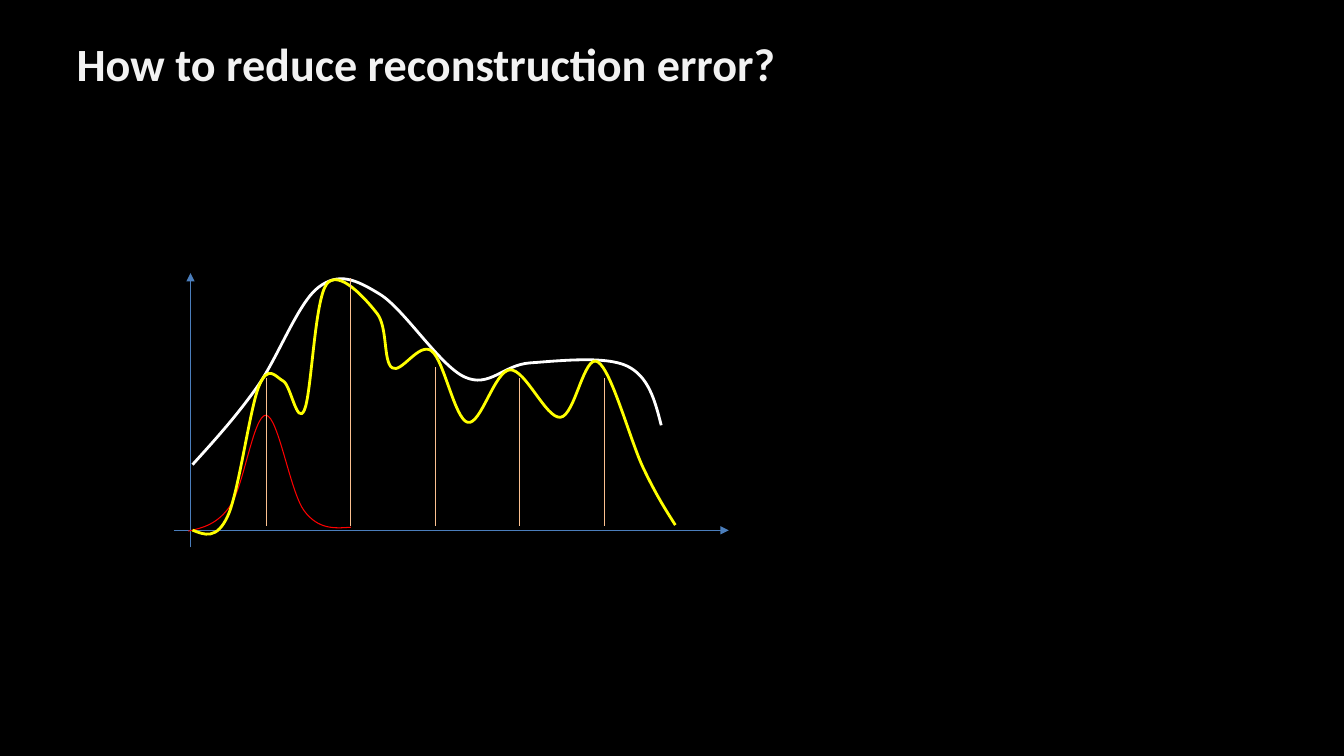
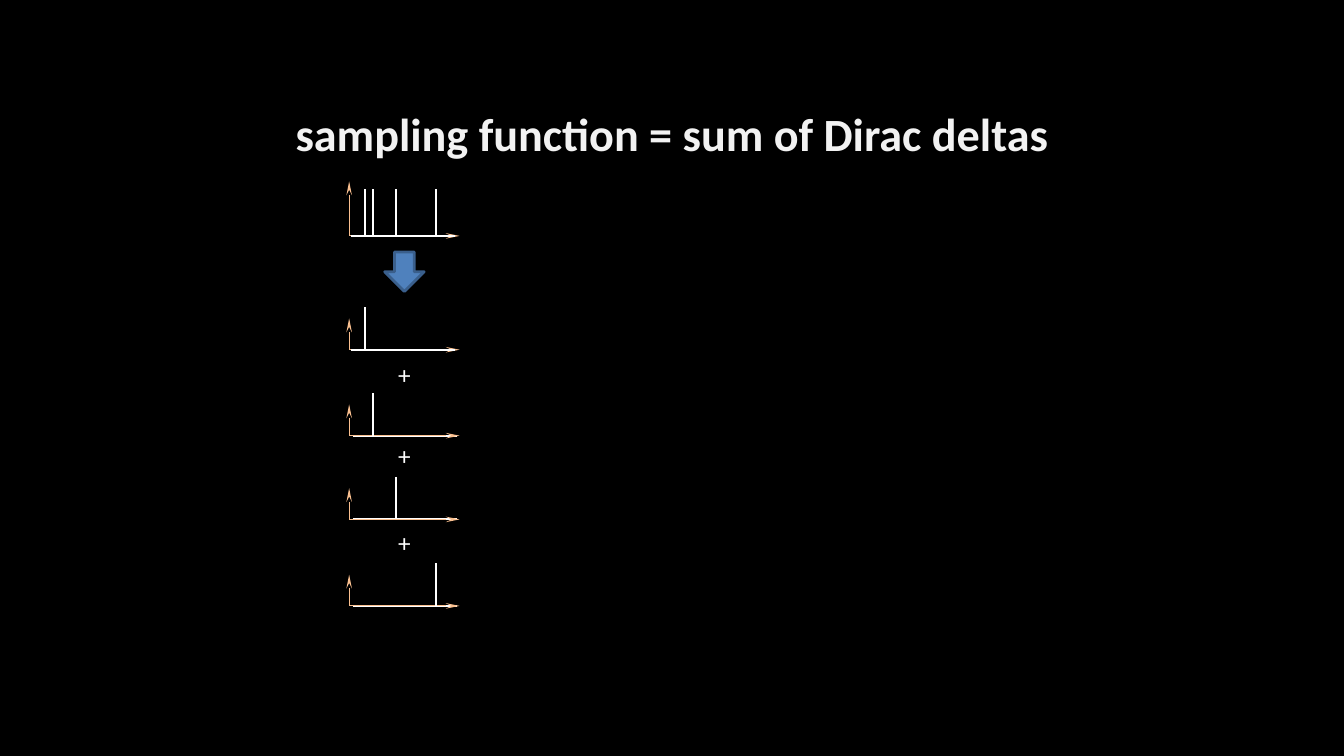
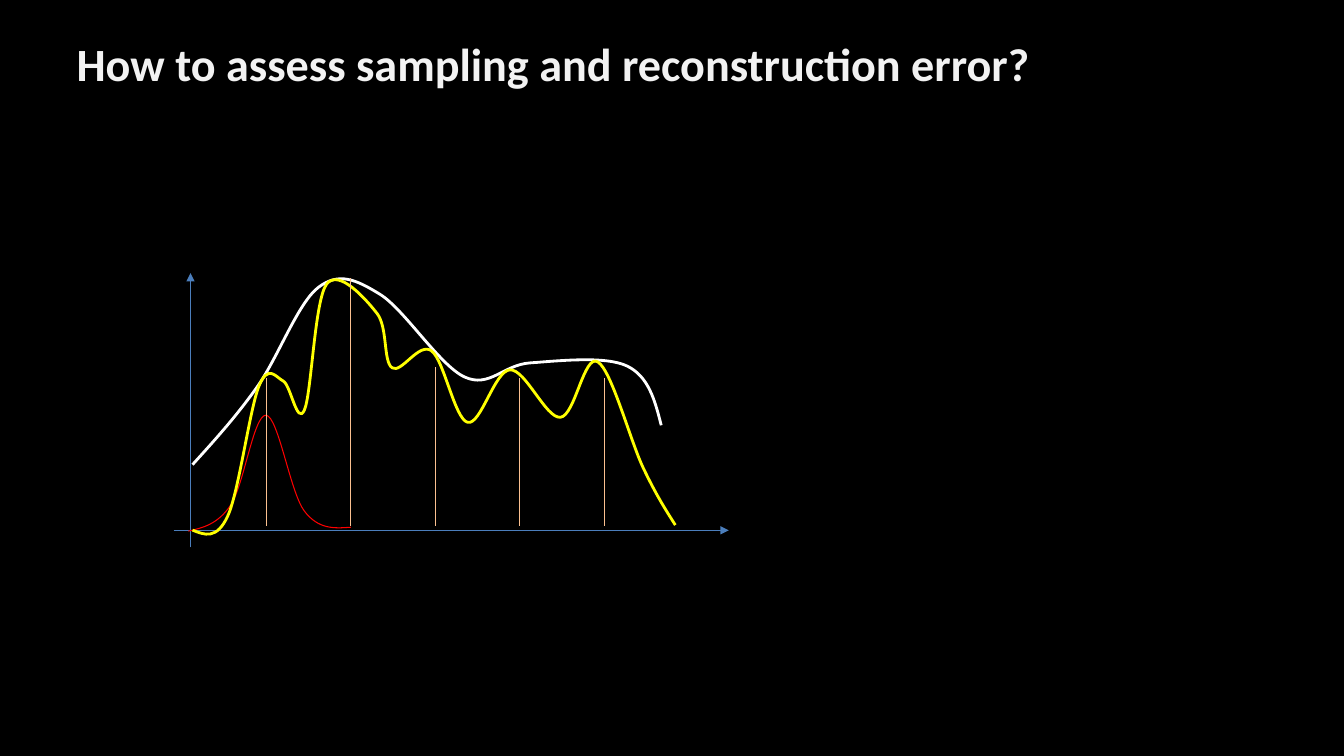
import dataclasses
import typing

import lxml.etree
import pptx
import pptx.dml.color
import pptx.enum.shapes
import pptx.enum.text
import pptx.oxml.ns
import pptx.util

Pt = pptx.util.Pt
qn = pptx.oxml.ns.qn
Align = pptx.enum.text.PP_ALIGN
Point = tuple[float, float]
Bezier = tuple[Point, Point, Point, Point]

COLORS = {
    "background": "000000",
    "title": "F2F2F2",
    "white": "FFFFFF",
    "axis": "4B7EBC",
    "sample": "FAC090",
    "kernel": "FF0000",
    "reconstruction": "FFFF00",
    "arrow": "4F81BD",
    "arrow_edge": "3A5F8C",
}
FONT = "Calibri"
TITLE_ONLY = 5
BOUND_STEPS = 20


@dataclasses.dataclass(frozen=True)
class Stroke:
    color: str
    width: float
    head: str = ""
    head_width: str = "med"
    head_length: str = "med"


@dataclasses.dataclass(frozen=True)
class Curve:
    knots: tuple[Point, ...]
    stroke: Stroke


@dataclasses.dataclass(frozen=True)
class SpikePlot:
    baseline: float
    axis_height: float
    spike_height: float
    spikes: tuple[float, ...]
    train_left: float = 252
    train_on_top: bool = False


AXIS = Stroke("axis", 0.75, "triangle")
SAMPLE = Stroke("sample", 0.75)
SPIKE_AXIS = Stroke("sample", 0.75, "stealth", "sm", "lg")
SPIKE = Stroke("white", 1.5)

# Signal, reconstruction kernel and reconstructed signal
CURVES = (
    Curve(((137.5, 331.9), (183.6, 276.5), (227.5, 205.2), (271.4, 210.2),
           (331.9, 269.3), (378.7, 259.2), (447.8, 261.4), (472.3, 303.8)),
          Stroke("white", 2)),
    Curve(((134.6, 379.4), (164.9, 360.7), (190.1, 296.6), (217.4, 365),
           (250.6, 376.6)),
          Stroke("kernel", 0.75)),
    Curve(((137.5, 378.7), (162.7, 368.6), (185, 275.8), (202.3, 272.2),
           (217.4, 293), (233.3, 203), (269.3, 223.9), (280.1, 262.8),
           (308.2, 250.6), (334.1, 301.7), (364.3, 264.2), (400.3, 298.1),
           (427, 258.5), (459.4, 334.1), (482.4, 375.1)),
          Stroke("reconstruction", 2)),
)
SAMPLE_LEFT, SAMPLE_GAP, SAMPLE_BOTTOM = 190.1, 60.4, 375.4
SAMPLE_TOPS = (270, 198.7, 262.1, 270, 270)

# Sampling function, then its single deltas
SPIKE_XS = (260.6, 266.4, 283, 311.3)
SPIKE_PLOTS = (
    SpikePlot(168.5, 38.9, 33.4, SPIKE_XS, 250.6, True),
    SpikePlot(249.8, 22.3, 30.3, SPIKE_XS[:1], 250.6, True),
    SpikePlot(311.2, 22.3, 30.3, SPIKE_XS[1:2]),
    SpikePlot(371, 22.3, 30.3, SPIKE_XS[2:3]),
    SpikePlot(432.8, 22.3, 30.3, SPIKE_XS[3:]),
)
SPIKE_ORIGIN, SPIKE_AXIS_END, TRAIN_LENGTH = 249.4, 328.3, 74.1
PLUS_TOPS = (253.4, 311, 372.8)


def rgb(name: str) -> pptx.dml.color.RGBColor:
    return pptx.dml.color.RGBColor.from_string(COLORS[name])


def add_run(paragraph: typing.Any, text: str, size: float, color: str,
            bold: bool = False) -> None:
    run = paragraph.add_run()
    run.text = text
    run.font.name = FONT
    run.font.size = Pt(size)
    run.font.bold = bold
    run.font.color.rgb = rgb(color)


def apply_stroke(shape: typing.Any, stroke: Stroke) -> None:
    shape.line.color.rgb = rgb(stroke.color)
    shape.line.width = Pt(stroke.width)


def add_line(shapes: typing.Any, start: Point, end: Point, stroke: Stroke) -> None:
    line = shapes.add_connector(pptx.enum.shapes.MSO_CONNECTOR.STRAIGHT,
                                *map(Pt, start + end))
    apply_stroke(line, stroke)
    properties = line._element.spPr
    if stroke.head:
        lxml.etree.SubElement(properties.find(qn("a:ln")), qn("a:tailEnd"),
                              type=stroke.head, w=stroke.head_width,
                              len=stroke.head_length)
    lxml.etree.SubElement(properties, qn("a:effectLst"))


def midpoint(first: Point, second: Point) -> Point:
    return (first[0] + second[0]) / 2, (first[1] + second[1]) / 2


def smooth_segments(knots: tuple[Point, ...]) -> list[Bezier]:
    """Bezier segments whose tangents follow the neighbouring knots."""
    last = len(knots) - 1

    def control(index: int, sign: int) -> Point:
        before, knot, after = knots[index - 1:index + 2]
        return (knot[0] + sign * (after[0] - before[0]) / 6,
                knot[1] + sign * (after[1] - before[1]) / 6)

    segments = []
    for index in range(last):
        start, end = knots[index], knots[index + 1]
        if index == 0:
            arriving = control(1, -1)
            leaving = midpoint(start, arriving)
        else:
            leaving = control(index, 1)
            arriving = (midpoint(leaving, end) if index + 1 == last
                        else control(index + 1, -1))
        segments.append((start, leaving, arriving, end))
    return segments


def curve_bounds(segments: list[Bezier]) -> tuple[Point, Point]:
    """Top left and bottom right corner of the drawn curve."""
    axes = []
    for axis in (0, 1):
        values = []
        for segment in segments:
            a, b, c, d = (point[axis] for point in segment)
            for step in range(BOUND_STEPS + 1):
                t = step / BOUND_STEPS
                u = 1 - t
                values.append(u**3 * a + 3 * u * u * t * b + 3 * u * t * t * c + t**3 * d)
        axes.append((min(values), max(values)))
    (left, right), (top, bottom) = axes
    return (left, top), (right, bottom)


def add_curve(shapes: typing.Any, curve: Curve) -> None:
    segments = smooth_segments(curve.knots)
    corner, opposite = curve_bounds(segments)
    builder = shapes.build_freeform(*map(Pt, corner))
    builder.add_line_segments([tuple(map(Pt, opposite))], close=False)
    outline = builder.convert_to_shape()
    outline.shadow.inherit = False
    outline.fill.background()
    apply_stroke(outline, curve.stroke)

    # The box spans the curve; its diagonal gives way to the Bezier segments
    route = outline._element.spPr.find(".//" + qn("a:path"))
    for child in list(route):
        route.remove(child)

    def add_step(tag: str, points: typing.Iterable[Point]) -> None:
        parent = lxml.etree.SubElement(route, qn(tag))
        for x, y in points:
            lxml.etree.SubElement(parent, qn("a:pt"),
                                  x=str(int(Pt(x - corner[0]))),
                                  y=str(int(Pt(y - corner[1]))))

    add_step("a:moveTo", curve.knots[:1])
    for segment in segments:
        add_step("a:cubicBezTo", segment[1:])


def add_titled_slide(deck: typing.Any, text: str,
                     box: tuple[float, ...] = (47.9, 17.6, 868.3, 54.7),
                     align: Align = Align.LEFT) -> typing.Any:
    slide = deck.slides.add_slide(deck.slide_layouts[TITLE_ONLY])
    title = slide.shapes.title
    title.left, title.top, title.width, title.height = map(Pt, box)
    frame = title.text_frame
    frame.auto_size = pptx.enum.text.MSO_AUTO_SIZE.NONE
    frame.word_wrap = True
    frame.vertical_anchor = pptx.enum.text.MSO_ANCHOR.MIDDLE
    frame.margin_left = frame.margin_right = Pt(6.8)
    frame.margin_top = frame.margin_bottom = Pt(3.4)
    frame.paragraphs[0].alignment = align
    add_run(frame.paragraphs[0], text, 33, "title", bold=True)
    return slide


def add_reconstruction_slide(deck: typing.Any, title: str) -> None:
    shapes = add_titled_slide(deck, title).shapes
    add_line(shapes, (124.1, 378.8), (520.6, 378.8), AXIS)
    add_line(shapes, (136.1, 391), (136.1, 195.1), AXIS)
    for curve in CURVES:
        add_curve(shapes, curve)
    for index, top in enumerate(SAMPLE_TOPS):
        x = SAMPLE_LEFT + index * SAMPLE_GAP
        add_line(shapes, (x, SAMPLE_BOTTOM), (x, top), SAMPLE)


def add_spike_plot(shapes: typing.Any, plot: SpikePlot) -> None:
    group = shapes.add_group_shape().shapes
    base = plot.baseline
    origin = (SPIKE_ORIGIN, base)
    add_line(group, origin, (SPIKE_ORIGIN, base - plot.axis_height), SPIKE_AXIS)
    horizontals = [
        ((plot.train_left, base), (plot.train_left + TRAIN_LENGTH, base), SPIKE),
        (origin, (SPIKE_AXIS_END, base), SPIKE_AXIS),
    ]
    if plot.train_on_top:
        horizontals.reverse()
    for start, end, stroke in horizontals:
        add_line(group, start, end, stroke)
    for x in plot.spikes:
        add_line(group, (x, base - plot.spike_height), (x, base), SPIKE)


def add_dirac_slide(deck: typing.Any) -> None:
    slide = add_titled_slide(deck, "sampling function = sum of Dirac deltas",
                             (159.8, 70.6, 640.8, 49), Align.CENTER)
    shapes = slide.shapes
    arrow = shapes.add_shape(pptx.enum.shapes.MSO_SHAPE.DOWN_ARROW,
                             Pt(274.8), Pt(180), Pt(28.2), Pt(28.2))
    arrow.shadow.inherit = False
    arrow.fill.solid()
    arrow.fill.fore_color.rgb = rgb("arrow")
    apply_stroke(arrow, Stroke("arrow_edge", 2))
    for plot in SPIKE_PLOTS:
        add_spike_plot(shapes, plot)
    for top in PLUS_TOPS:
        plus = shapes.add_textbox(Pt(277.4), Pt(top), Pt(23.8), Pt(28.8))
        plus.text_frame.word_wrap = False
        add_run(plus.text_frame.paragraphs[0], "+", 18, "white")


def main() -> None:
    deck = pptx.Presentation()
    deck.slide_width, deck.slide_height = Pt(960), Pt(540)
    # Shared black background
    backdrop = deck.slide_master.background.fill
    backdrop.solid()
    backdrop.fore_color.rgb = rgb("background")

    add_reconstruction_slide(deck, "How to reduce reconstruction error?")
    add_dirac_slide(deck)
    add_reconstruction_slide(deck, "How to assess sampling and reconstruction error?")
    deck.save("out.pptx")


if __name__ == "__main__":
    main()
